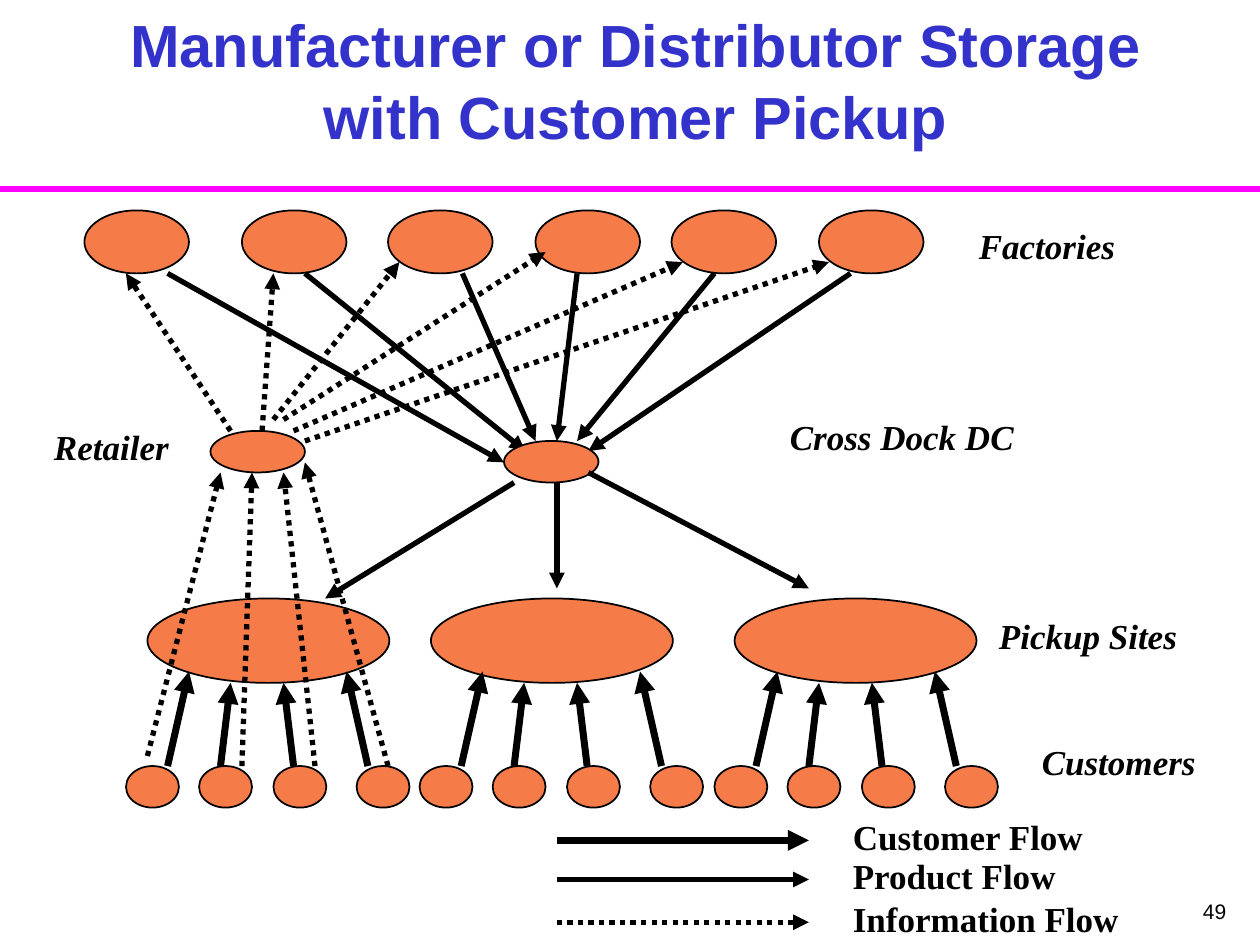
import pptx
import pptx.util
import pptx.dml.color
import pptx.enum.dml
import pptx.enum.shapes
import pptx.enum.text
import pptx.oxml.ns
from lxml import etree

Inches = pptx.util.Inches
Pt = pptx.util.Pt
PP_ALIGN = pptx.enum.text.PP_ALIGN

TITLE = "Manufacturer or Distributor Storage with Customer Pickup"
LABELS = [
    ("Factories", 7.67, 1.73, 1.83),
    ("Retailer", 0.33, 3.33, 1.17),
    ("Cross Dock DC", 6.17, 3.25, 3),
    ("Pickup Sites", 7.83, 4.83, 1.83),
    ("Customers", 8.17, 5.83, 1.5),
]
LEGEND = [
    ("Customer Flow", 6.67, 6.42, 4, False),
    ("Product Flow", 6.98, 6.73, 3, False),
    ("Information Flow", 7.32, 7.07, 3, True),
]
FACTORY_X = [0.67, 1.92, 3.08, 4.25, 5.33, 6.5]
PICKUP_X = [1.17, 3.42, 5.83]
GROUP_X = [0, 2.33, 4.67]
CUSTOMER_X = [1, 1.58, 2.17, 2.83]
CUSTOMER_FLOWS = [
    (1.33, 1.5, 5.33),
    (1.75, 1.83, 5.42),
    (2.33, 2.25, 5.42),
    (2.92, 2.75, 5.33),
]
FACTORY_TO_DOCK = [
    (1.33, 4, 3.67),
    (2.42, 4.17, 3.58),
    (3.67, 4.25, 3.5),
    (4.58, 4.42, 3.5),
    (5.67, 4.58, 3.5),
    (6.75, 4.67, 3.58),
]
DOCK_TO_PICKUP = [
    (4.08, 3.83, 2.58, 4.75),
    (4.42, 3.83, 4.42, 4.67),
    (4.67, 3.75, 6.42, 4.67),
]
INFORMATION_FLOWS = [
    (1.83, 3.42, 1, 2.17),
    (2.08, 3.42, 2.17, 2.17),
    (2.17, 3.33, 3.17, 2.08),
    (2.25, 3.33, 4.33, 2),
    (2.33, 3.42, 5.42, 2.08),
    (2.42, 3.5, 6.58, 2.08),
    (1.17, 6, 1.75, 3.75),
    (1.92, 6.08, 2, 3.75),
    (2.5, 6.08, 2.25, 3.75),
    (3.08, 6.08, 2.42, 3.67),
]


def rgb(value):
    return pptx.dml.color.RGBColor.from_string(value)


def style(p, font, size, color, bold=False, italic=False):
    for r in p.runs:
        r.font.name = font
        r.font.size = Pt(size)
        r.font.color.rgb = rgb(color)
        r.font.bold = bold
        r.font.italic = italic


def add_text(s, text, x, y, w, h=0.43):
    tf = s.shapes.add_textbox(Inches(x), Inches(y), Inches(w), Inches(h)).text_frame
    tf.word_wrap = True
    tf.text = text
    return tf.paragraphs[0]


def add_ellipse(s, x, y, w, h):
    sp = s.shapes.add_shape(pptx.enum.shapes.MSO_SHAPE.OVAL,
                            Inches(x), Inches(y), Inches(w), Inches(h))
    sp.shadow.inherit = False
    sp.fill.solid()
    sp.fill.fore_color.rgb = rgb("F57B49")
    sp.line.color.rgb = rgb("000000")
    sp.line.width = Pt(1)


def add_line(s, x1, y1, x2, y2, width, color="000000", dotted=False, arrow=True):
    c = s.shapes.add_connector(pptx.enum.shapes.MSO_CONNECTOR.STRAIGHT,
                               Inches(x1), Inches(y1), Inches(x2), Inches(y2))
    c.line.color.rgb = rgb(color)
    c.line.width = Pt(width)
    if dotted:
        c.line.dash_style = pptx.enum.dml.MSO_LINE.ROUND_DOT
    qn = pptx.oxml.ns.qn
    if arrow:
        etree.SubElement(c.line._get_or_add_ln(), qn("a:tailEnd"), type="triangle")
    etree.SubElement(c._element.spPr, qn("a:effectLst"))


def main():
    prs = pptx.Presentation()
    prs.slide_width = Inches(10)
    prs.slide_height = Inches(7.5)
    s = prs.slides.add_slide(prs.slide_layouts[5])

    title = s.shapes.title
    title.left, title.top = Inches(0.42), Inches(0.29)
    title.width, title.height = Inches(9.25), Inches(0.96)
    tf = title.text_frame
    tf.text = TITLE
    tf.word_wrap = True
    tf.auto_size = pptx.enum.text.MSO_AUTO_SIZE.NONE
    tf.vertical_anchor = pptx.enum.text.MSO_ANCHOR.BOTTOM
    tf.paragraphs[0].alignment = PP_ALIGN.CENTER
    style(tf.paragraphs[0], "Arial", 34, "3333CC", bold=True)
    add_line(s, 0, 1.5, 10, 1.5, 4, color="FF00FF", arrow=False)

    for x in FACTORY_X:
        add_ellipse(s, x, 1.67, 0.83, 0.5)
    for x in PICKUP_X:
        add_ellipse(s, x, 4.75, 1.92, 0.67)
    add_ellipse(s, 1.67, 3.42, 0.75, 0.33)

    for x1, x2, y2 in FACTORY_TO_DOCK:
        add_line(s, x1, 2.17, x2, y2, 3)
    for flow in INFORMATION_FLOWS:
        add_line(s, *flow, 3, dotted=True)
    add_ellipse(s, 4, 3.5, 0.75, 0.33)
    for flow in DOCK_TO_PICKUP:
        add_line(s, *flow, 3)

    for dx in GROUP_X:
        for x in CUSTOMER_X:
            add_ellipse(s, x + dx, 6.08, 0.42, 0.33)
        for x1, x2, y2 in CUSTOMER_FLOWS:
            add_line(s, x1 + dx, 6.08, x2 + dx, y2, 4)

    for text, x, y, w in LABELS:
        style(add_text(s, text, x, y, w), "Times New Roman", 20, "000000", True, True)
    for text, line_y, text_y, width, dotted in LEGEND:
        add_line(s, 4.42, line_y, 6.42, line_y, width, dotted=dotted)
        style(add_text(s, text, 6.67, text_y, 2.42), "Times New Roman", 20, "000000", True)

    p = add_text(s, "49", 7.75, 7.08, 2.08, 0.42)
    p.alignment = PP_ALIGN.RIGHT
    style(p, "Arial", 12, "000000")
    prs.save("out.pptx")


if __name__ == "__main__":
    main()
